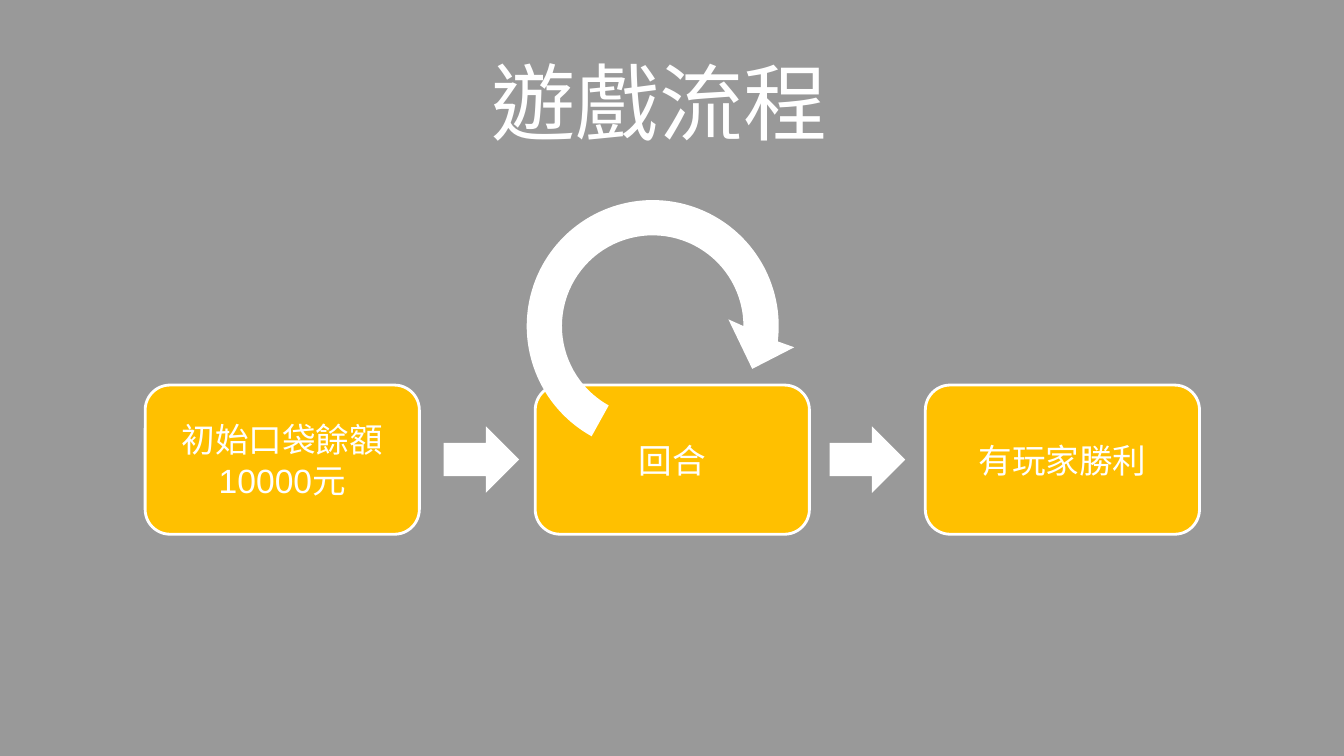
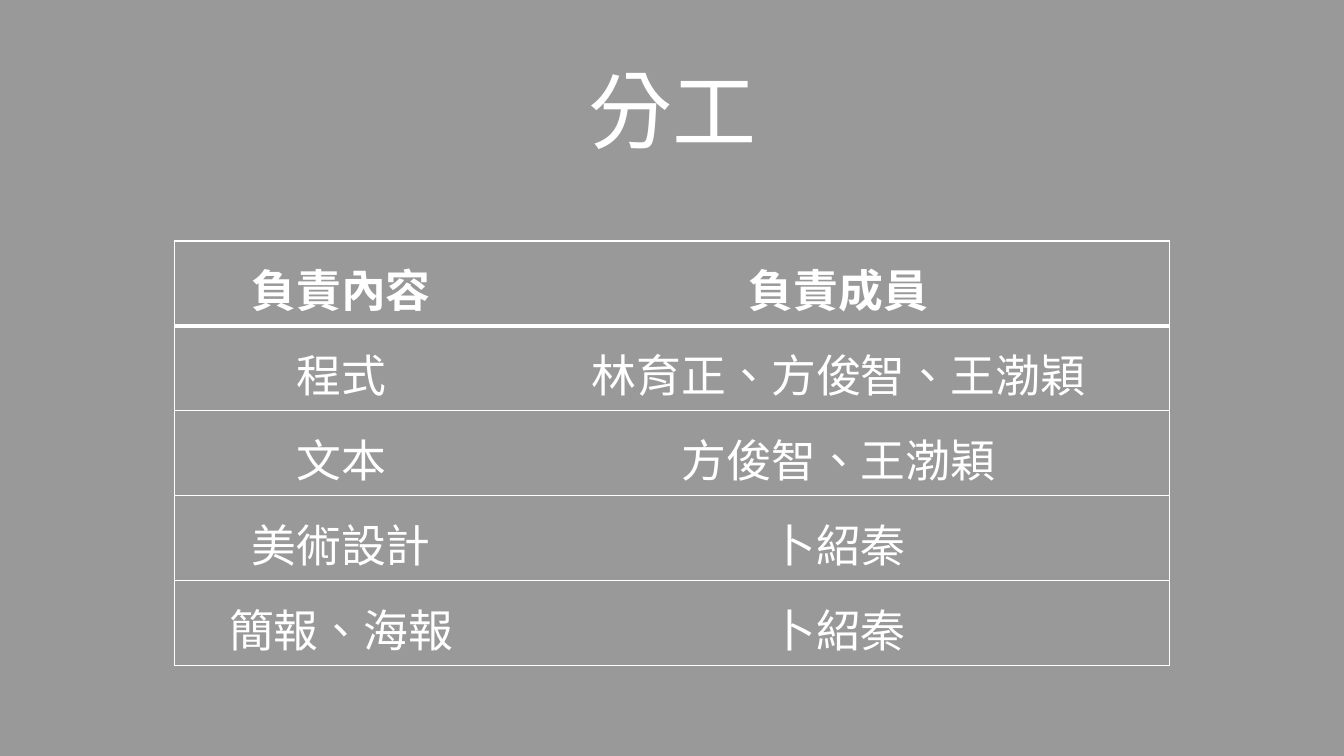
from math import cos, radians, sin

from lxml.etree import SubElement
from pptx import Presentation
from pptx.dml.color import RGBColor
from pptx.enum.shapes import MSO_SHAPE
from pptx.enum.text import MSO_ANCHOR, MSO_AUTO_SIZE, PP_ALIGN
from pptx.oxml import parse_xml
from pptx.oxml.ns import nsdecls, qn
from pptx.util import Inches, Pt

COLORS = {"veil": "000000", "white": "FFFFFF", "step": "FFC000"}
TITLE_FONT = "Calibri"
BODY_FONT = "Arial"
LANGUAGE = "zh-TW"
SLIDE_WIDTH, SLIDE_HEIGHT = 40 / 3, 7.5

STEPS = [["初始口袋餘額", "10000元"], ["回合"], ["有玩家勝利"]]
DUTIES = [
    ("負責內容", "負責成員"),
    ("程式", "林育正、方俊智、王渤穎"),
    ("文本", "方俊智、王渤穎"),
    ("美術設計", "卜紹秦"),
    ("簡報、海報", "卜紹秦"),
]


def color(name):
    return RGBColor.from_string(COLORS[name])


def style_paragraph(paragraph, font_name, size, align, bold=False):
    paragraph.alignment = align
    font = paragraph.font
    font.name, font.size, font.bold = font_name, Pt(size), bold
    font.color.rgb = color("white")
    for span in paragraph.runs:
        span._r.get_or_add_rPr().set("lang", LANGUAGE)


def paint(shape, fill, line_width=0):
    """Fill a shape; a line width above zero gives it a white outline."""
    shape.shadow.inherit = False
    shape.fill.solid()
    shape.fill.fore_color.rgb = color(fill)
    if line_width:
        shape.line.color.rgb = color("white")
        shape.line.width = Pt(line_width)
    else:
        shape.line.fill.background()


def add_shape(page, kind, left, top, width, height, fill, line_width=0):
    shape = page.shapes.add_shape(
        kind, Inches(left), Inches(top), Inches(width), Inches(height))
    paint(shape, fill, line_width)
    return shape


def add_page(deck):
    """Add a title-only slide dimmed by a 40 % black veil."""
    page = deck.slides.add_slide(deck.slide_layouts[5])
    veil = add_shape(page, MSO_SHAPE.RECTANGLE, 0, 0,
                     SLIDE_WIDTH, SLIDE_HEIGHT, "veil")
    fill_color = veil.fill._xPr.find(qn("a:solidFill"))[0]
    SubElement(fill_color, qn("a:alpha"), val="40000")
    page.shapes._spTree.insert(2, veil._element)
    return page


def set_title(page, text, left, top, width, height, align, anchor, spacing):
    title = page.shapes.title
    title.left, title.top = Inches(left), Inches(top)
    title.width, title.height = Inches(width), Inches(height)
    frame = title.text_frame
    frame.text = text
    frame.word_wrap = True
    frame.auto_size = MSO_AUTO_SIZE.NONE
    frame.vertical_anchor = anchor
    paragraph = frame.paragraphs[0]
    paragraph.line_spacing = spacing
    style_paragraph(paragraph, TITLE_FONT, 60, align)


def add_step(page, left, lines):
    box = add_shape(page, MSO_SHAPE.ROUNDED_RECTANGLE,
                    left, 3.82, 2.72, 1.48, "step", 2)
    frame = box.text_frame
    frame.word_wrap = True
    frame.vertical_anchor = MSO_ANCHOR.MIDDLE
    frame.text = "\n".join(lines)
    for paragraph in frame.paragraphs:
        style_paragraph(paragraph, BODY_FONT, 24, PP_ALIGN.CENTER)


def add_path_point(outline, tag, x, y):
    SubElement(SubElement(outline, qn(tag)), qn("a:pt"),
               x=str(Inches(x)), y=str(Inches(y)))


def add_path_arc(outline, radius, start, end):
    """Append a circular arc; angles in degrees, clockwise from the right."""
    SubElement(outline, qn("a:arcTo"),
               wR=str(Inches(radius)), hR=str(Inches(radius)),
               stAng=str(start % 360 * 60000), swAng=str((end - start) * 60000))


def add_loop_arrow(page):
    """Draw a ring arrow inside a square frame, then turn the frame."""
    left, top, size = 5.04, 1.8, 2.87
    middle, outer, inner = size / 2, 1.25, 0.9
    tail, neck, throat = 96, 344, 337
    builder = page.shapes.build_freeform(Inches(left), Inches(top))
    builder.add_line_segments(
        [(Inches(left + x), Inches(top + y))
         for x, y in ((size, 0), (size, size), (0, size))], close=True)
    arrow = builder.convert_to_shape()
    outline = next(arrow._element.iter(qn("a:path")))
    for segment in list(outline):
        outline.remove(segment)
    add_path_point(outline, "a:moveTo", middle + outer * cos(radians(tail)),
                   middle + outer * sin(radians(tail)))
    add_path_arc(outline, outer, tail, neck)
    throat_point = (middle + inner * cos(radians(throat)),
                    middle + inner * sin(radians(throat)))
    for x, y in ((2.81, 1.08), (2.51, 1.44), (2.1, 1.08), throat_point):
        add_path_point(outline, "a:lnTo", x, y)
    add_path_arc(outline, inner, throat, tail)
    SubElement(outline, qn("a:close"))
    arrow.rotation = 23
    paint(arrow, "white")


def set_borders(cell, widths):
    """Set left, right, top and bottom borders in points; 0 hides one."""
    properties = cell._tc.get_or_add_tcPr()
    for index, (side, width) in enumerate(zip("LRTB", widths)):
        fill = (f'<a:solidFill><a:srgbClr val="{COLORS["white"]}"/></a:solidFill>'
                if width else "<a:noFill/>")
        properties.insert(index, parse_xml(
            f'<a:ln{side} {nsdecls("a")} w="{Pt(width)}">{fill}</a:ln{side}>'))


def add_duty_table(page, rows):
    widths, row_height = (3.31, 6.56), 0.74
    table = page.shapes.add_table(
        len(rows), len(widths), Inches(1.73), Inches(2.39),
        Inches(sum(widths)), Inches(row_height * len(rows))).table
    table.horz_banding = False
    for column, width in zip(table.columns, widths):
        column.width = Inches(width)
    for row_index, texts in enumerate(rows):
        top = 3 if row_index == 1 else 1
        bottom = 3 if row_index == 0 else 1
        for column_index, text in enumerate(texts):
            cell = table.cell(row_index, column_index)
            cell.text = text
            cell.fill.background()
            is_first = column_index == 0
            is_last = column_index == len(texts) - 1
            set_borders(cell, (int(is_first), int(is_last), top, bottom))
            paragraph = cell.text_frame.paragraphs[0]
            paragraph.line_spacing = 1.15
            style_paragraph(paragraph, BODY_FONT, 32, PP_ALIGN.CENTER,
                            bold=row_index == 0)


def build_flow(deck):
    page = add_page(deck)
    set_title(page, "遊戲流程", 4.78, 0.45, 8.13, 1.11,
              PP_ALIGN.LEFT, MSO_ANCHOR.TOP, 1.0)
    for index, lines in enumerate(STEPS):
        add_step(page, 1.44 + 3.87 * index, lines)
    add_loop_arrow(page)
    for left in (4.4, 8.23):
        add_shape(page, MSO_SHAPE.RIGHT_ARROW, left, 4.23, 0.75, 0.66, "white")


def build_duties(deck):
    page = add_page(deck)
    set_title(page, "分工", 1.67, 0.3, 10, 1.34,
              PP_ALIGN.CENTER, MSO_ANCHOR.BOTTOM, 0.9)
    add_duty_table(page, DUTIES)


def main():
    deck = Presentation()
    deck.slide_width = Inches(SLIDE_WIDTH)
    deck.slide_height = Inches(SLIDE_HEIGHT)
    build_flow(deck)
    build_duties(deck)
    deck.save("out.pptx")


if __name__ == "__main__":
    main()
